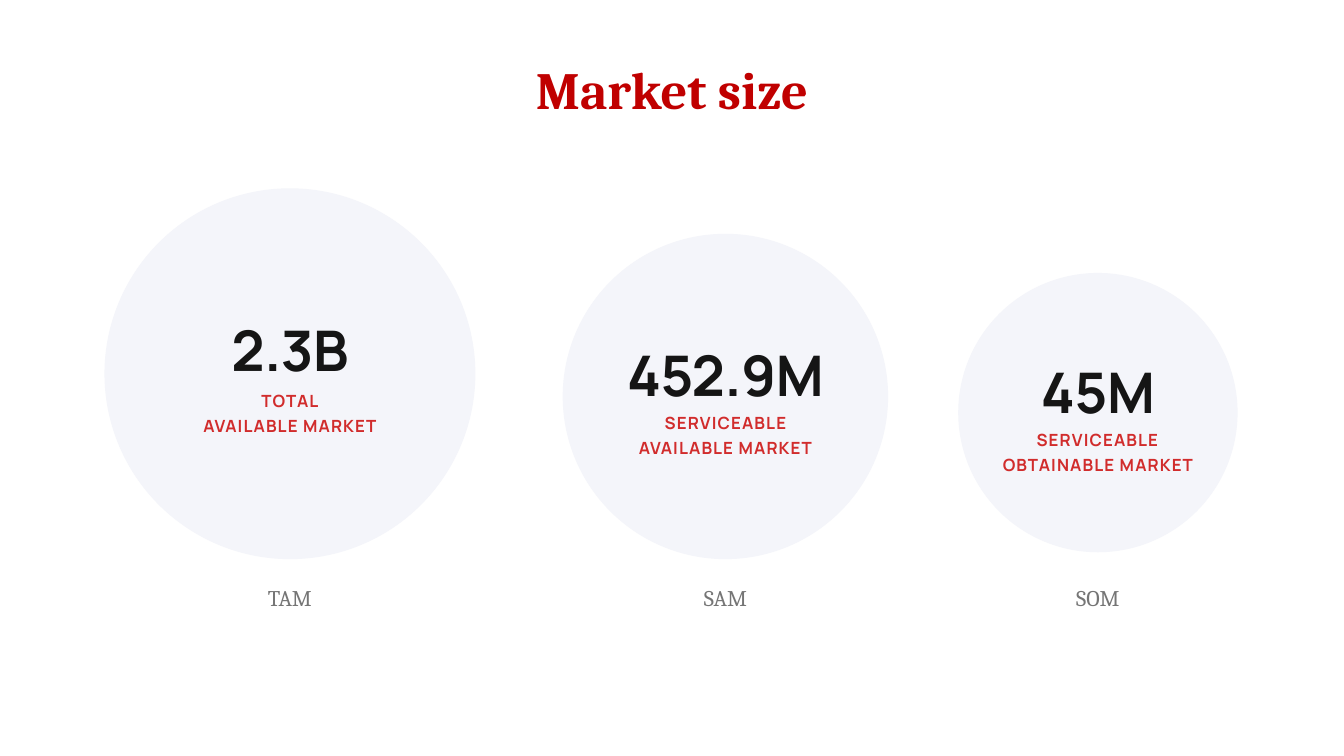
"""Build a market size slide with three circles for TAM, SAM and SOM."""
from pptx import Presentation
from pptx.dml.color import RGBColor
from pptx.enum.shapes import MSO_SHAPE as Shape
from pptx.enum.text import PP_ALIGN as Align
from pptx.util import Cm, Pt


def color(value):
    return RGBColor.from_string(value)


def add_text(center, top, width, height, lines, font, size, value, leading, bold=False, spacing=0):
    box = slide.shapes.add_textbox(Cm(center - width / 2), Cm(top), Cm(width), Cm(height))
    frame = box.text_frame
    frame.word_wrap = True
    frame.margin_left = frame.margin_right = frame.margin_top = frame.margin_bottom = 0
    for index, line in enumerate(lines):
        paragraph = frame.add_paragraph() if index else frame.paragraphs[0]
        paragraph.alignment = Align.CENTER
        paragraph.line_spacing = Pt(leading)
        run = paragraph.add_run()
        run.text = line
        run.font.name = font
        run.font.size = Pt(size)
        run.font.bold = bold
        run.font.color.rgb = color(value)
        if spacing:
            run._r.get_or_add_rPr().set("spc", str(spacing))


presentation = Presentation()
presentation.slide_width = Cm(25.4)
presentation.slide_height = Cm(14.29)
slide = presentation.slides.add_slide(presentation.slide_layouts[6])
slide.background.fill.solid()
slide.background.fill.fore_color.rgb = color("FFFFFF")

add_text(12.7, 1.32, 16.94, 0.97, ["Market size"], "Cambria", 28, "C00000", 27, bold=True)

markets = [
    ("TAM", "2.3B", ["TOTAL", "AVAILABLE MARKET"], 5.48, 3.56, 7.01, 5.97, 7.29, 5.28),
    ("SAM", "452.9M", ["SERVICEABLE", "AVAILABLE MARKET"], 13.71, 4.42, 6.15, 6.43, 7.7, 4.62),
    ("SOM", "45M", ["SERVICEABLE OBTAINABLE MARKET"], 20.75, 5.16, 5.28, 6.76, 8.03, 4.24),
]
for caption, amount, label, center, top, diameter, amount_top, label_top, width in markets:
    circle = slide.shapes.add_shape(
        Shape.OVAL, Cm(center - diameter / 2), Cm(top), Cm(diameter), Cm(diameter))
    circle.shadow.inherit = False
    circle.fill.solid()
    circle.fill.fore_color.rgb = color("F4F5FA")
    circle.line.fill.background()
    add_text(center, amount_top, width, 1.27, [amount], "Manrope", 30, "151515", 36, True, -20)
    add_text(center, label_top, width, 0.95, label, "Manrope", 9, "D12C2C", 13.5, True, 60)
    add_text(center, 10.92, 5.28, 0.64, [caption], "Cambria", 12, "757575", 18)

presentation.save("out.pptx")
